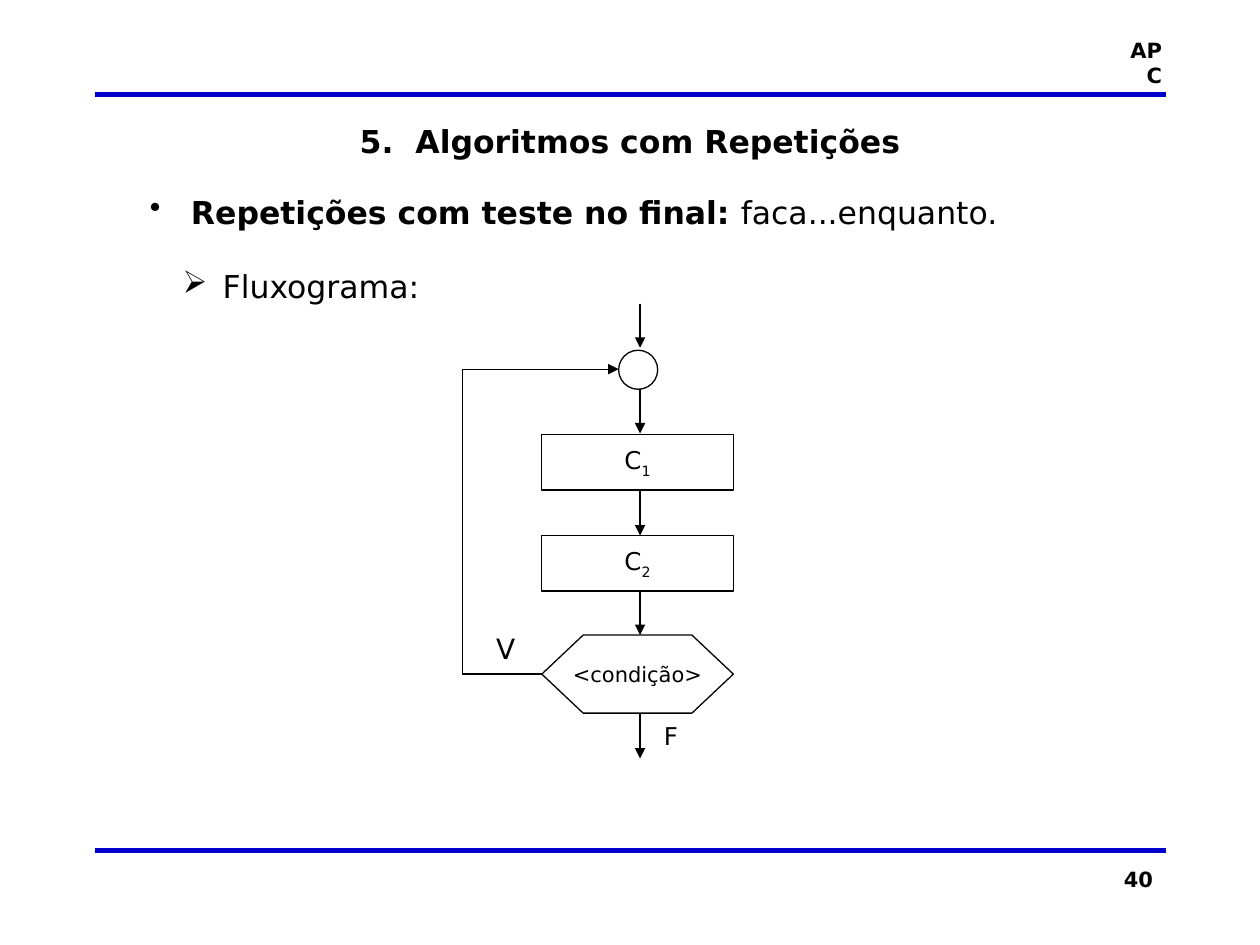
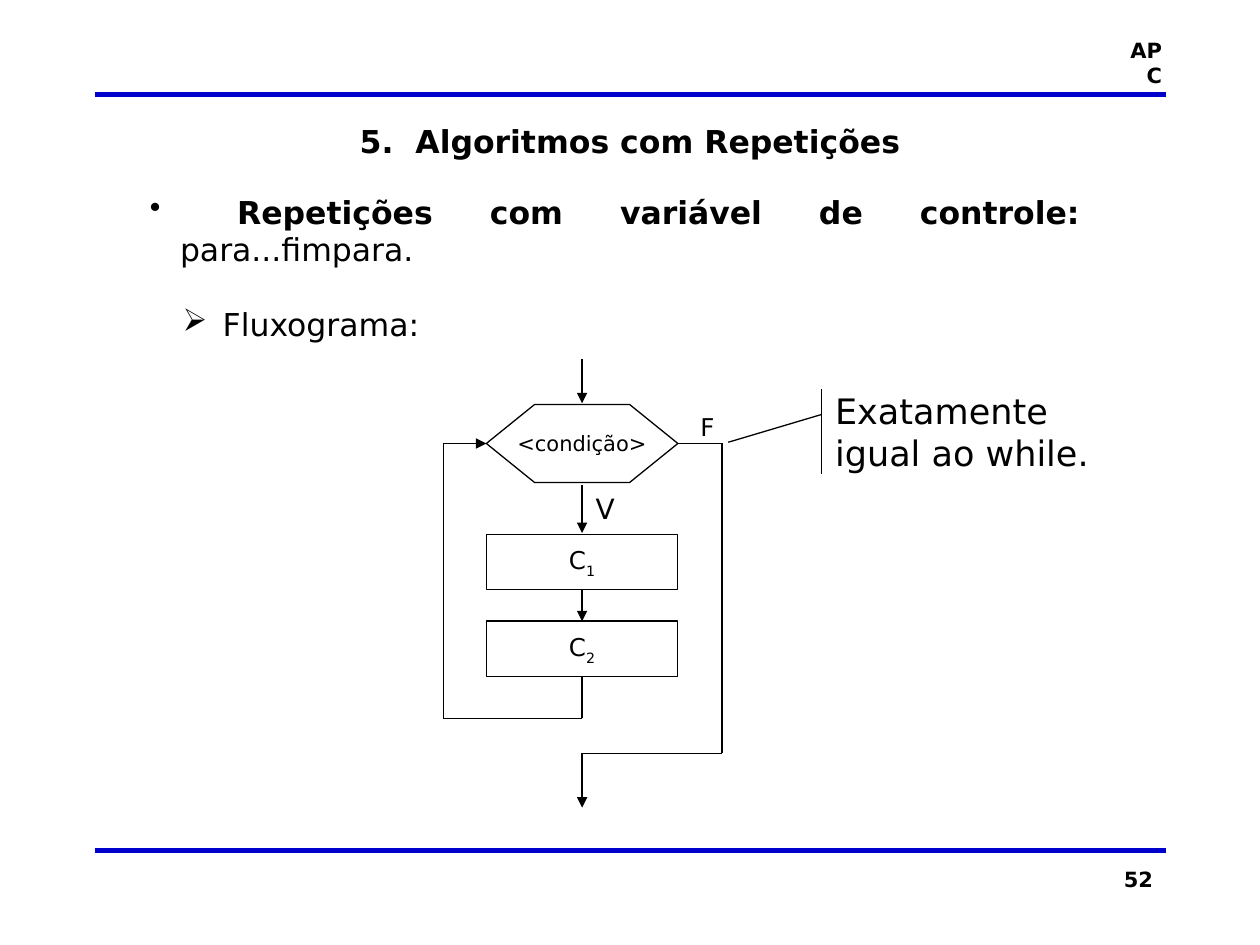
from lxml import etree
from pptx import Presentation
from pptx.dml.color import RGBColor
from pptx.enum.shapes import MSO_CONNECTOR, MSO_SHAPE
from pptx.enum.text import MSO_ANCHOR, PP_ALIGN
from pptx.oxml.ns import qn
from pptx.util import Inches, Pt

FONT = "DejaVu Sans"
BLACK, WHITE, BLUE = "000000", "FFFFFF", "0000CC"
LEFT, CENTER = PP_ALIGN.LEFT, PP_ALIGN.CENTER
RIGHT, JUSTIFY = PP_ALIGN.RIGHT, PP_ALIGN.JUSTIFY
TOP, MIDDLE = MSO_ANCHOR.TOP, MSO_ANCHOR.MIDDLE
STRAIGHT = MSO_CONNECTOR.STRAIGHT
RECT, HEXAGON, OVAL = MSO_SHAPE.RECTANGLE, MSO_SHAPE.HEXAGON, MSO_SHAPE.OVAL
NODE_W, STEP_H, COND_H = 1.52, 0.44, 0.62
CIRCLE = 0.31


def rgb(color):
    """Turn a hex string into a colour."""
    return RGBColor.from_string(color)


def style_run(r, size, bold=False):
    """Give a run the deck's font and colour."""
    r.font.name = FONT
    r.font.size = Pt(size)
    r.font.bold = bold
    r.font.color.rgb = rgb(BLACK)


def add_text(s, text, box, size, bold=False, align=LEFT, wrap=True, anchor=TOP):
    """Add a text box in one style."""
    tf = s.shapes.add_textbox(*map(Inches, box)).text_frame
    tf.word_wrap = wrap
    tf.vertical_anchor = anchor
    tf.text = text
    for p in tf.paragraphs:
        p.alignment = align
        for r in p.runs:
            style_run(r, size, bold)


def add_line(s, start, end, color=BLACK, width=0.75, arrow=False):
    """Draw a straight line, with an arrowhead at its end if asked."""
    line = s.shapes.add_connector(STRAIGHT, *map(Inches, (*start, *end)))
    line.line.color.rgb = rgb(color)
    line.line.width = Pt(width)
    sp_pr = line._element.spPr
    if arrow:
        etree.SubElement(sp_pr.find(qn("a:ln")), qn("a:tailEnd"), type="triangle")
    etree.SubElement(sp_pr, qn("a:effectLst"))


def add_route(s, *points, arrow=True):
    """Join points by lines, with the arrowhead on the last one."""
    last = len(points) - 2
    for i, (start, end) in enumerate(zip(points, points[1:])):
        add_line(s, start, end, arrow=arrow and i == last)


def add_node(s, kind, left, top, width, height):
    """Add a white flowchart node with a thin black outline."""
    sp = s.shapes.add_shape(kind, *map(Inches, (left, top, width, height)))
    sp.shadow.inherit = False
    sp.fill.solid()
    sp.fill.fore_color.rgb = rgb(WHITE)
    sp.line.color.rgb = rgb(BLACK)
    sp.line.width = Pt(0.75)
    return sp


def label_node(sp, size, *parts):
    """Centre the text parts in a node and return its runs."""
    tf = sp.text_frame
    tf.word_wrap = False
    tf.vertical_anchor = MIDDLE
    tf.margin_left = tf.margin_right = tf.margin_top = tf.margin_bottom = 0
    p = tf.paragraphs[0]
    p.alignment = CENTER
    for part in parts:
        r = p.add_run()
        r.text = part
        style_run(r, size)
    return p.runs


def add_command(s, number, left, top):
    """Add a command box labelled C with a subscript number."""
    sp = add_node(s, RECT, left, top, NODE_W, STEP_H)
    subscript = label_node(sp, 14, "C", str(number))[1]
    subscript.font._element.set("baseline", "-30000")


def add_condition(s, left, top, slant):
    """Add the hexagon that tests the condition."""
    sp = add_node(s, HEXAGON, left, top, NODE_W, COND_H)
    sp.adjustments[0] = slant
    label_node(sp, 12, "<condição>")


def set_bullet(p, char, margin):
    """Give a paragraph a hanging bullet."""
    p_pr = p._p.get_or_add_pPr()
    p_pr.set("marL", str(Inches(margin)))
    p_pr.set("indent", str(-Inches(0.24)))
    etree.SubElement(p_pr, qn("a:buChar"), char=char)


def add_topic(s, topic, command):
    """Add the topic bullet and the flowchart bullet below it."""
    box = map(Inches, (1.09, 1.48, 7.58, 1))
    tf = s.shapes.add_textbox(*box).text_frame
    tf.word_wrap = True
    p = tf.paragraphs[0]
    p.alignment = JUSTIFY
    set_bullet(p, "•", 0.24)
    for text, bold in ((f" {topic}: ", True), (command, False)):
        r = p.add_run()
        r.text = text
        style_run(r, 18, bold)
    p = tf.add_paragraph()
    p.text = " Fluxograma:"
    p.level = 1
    p.space_before = Pt(21)
    set_bullet(p, "➢", 0.5)
    style_run(p.runs[0], 18)


def add_page(prs, number, topic, command):
    """Add a slide with its header, rules, title, topic and page number."""
    s = prs.slides.add_slide(prs.slide_layouts[6])
    for y in (6.75, 0.75):
        add_line(s, (0.75, y), (9.25, y), BLUE, 3)
    add_text(s, "APC", (8.8, 0.25, 0.52, 0.5), 12, True, RIGHT)
    add_text(s, str(number), (7.17, 6.83, 2.08, 0.5), 12, True, RIGHT)
    add_text(s, "5.  Algoritmos com Repetições", (0.75, 0.92, 8.5, 0.4),
             18, True, CENTER)
    add_topic(s, topic, command)
    return s


def add_branch_labels(s, true_at, false_at):
    """Label the true and false exits of the condition."""
    add_text(s, "V", (*true_at, 0.33, 0.37), 16, wrap=False)
    add_text(s, "F", (*false_at, 0.3, 0.34), 14, wrap=False)


def draw_final_test(s):
    """Draw the loop that tests its condition at the end."""
    left, axis, back = 4.3, 5.08, 3.67
    loop_y, cond_y = 2.93, 5.35
    add_node(s, OVAL, 4.91, 2.78, CIRCLE, CIRCLE)
    for number, top in ((1, 3.45), (2, 4.25)):
        add_command(s, number, left, top)
    add_condition(s, left, 5.04, 0.53)
    for top in (2.41, 3.09, 3.9, 4.69, 5.67):
        add_route(s, (axis, top), (axis, top + 0.35))
    add_route(s, (left, cond_y), (back, cond_y), (back, loop_y), (4.91, loop_y))
    add_branch_labels(s, (3.84, 4.96), (5.17, 5.67))


def draw_control_variable(s):
    """Draw the loop that tests its condition at the start."""
    left, axis, back, out = 3.86, 4.62, 3.52, 5.73
    right, cond_y = left + NODE_W, 3.52
    add_condition(s, left, 3.21, 0.618)
    for number, top in ((1, 4.24), (2, 4.93)):
        add_command(s, number, left, top)
    for top, bottom in ((2.85, 3.2), (3.85, 4.23), (4.68, 4.93)):
        add_route(s, (axis, top), (axis, bottom))
    add_route(s, (axis, 5.37), (axis, 5.7), (back, 5.7), (back, cond_y),
              (left, cond_y))
    add_route(s, (right, cond_y), (out, cond_y), (out, 5.98), (axis, 5.98),
              (axis, 6.41))
    add_branch_labels(s, (4.63, 3.85), (5.46, 3.22))


def add_callout(s):
    """Add the remark with its side bar and pointer."""
    bar = 6.52
    add_route(s, (5.78, 3.51), (bar, 3.29), arrow=False)
    add_route(s, (bar, 3.09), (bar, 3.76), arrow=False)
    add_text(s, "Exatamente\nigual ao while.", (6.53, 3.09, 2.3, 0.67), 20,
             anchor=MIDDLE)


def main():
    """Build and save the deck."""
    prs = Presentation()
    prs.slide_width, prs.slide_height = Inches(10), Inches(7.5)
    s = add_page(prs, 40, "Repetições com teste no final", "faca...enquanto.")
    draw_final_test(s)
    s = add_page(prs, 52, "Repetições com variável de controle",
                 "para...fimpara.")
    draw_control_variable(s)
    add_callout(s)
    prs.save("out.pptx")


if __name__ == "__main__":
    main()
